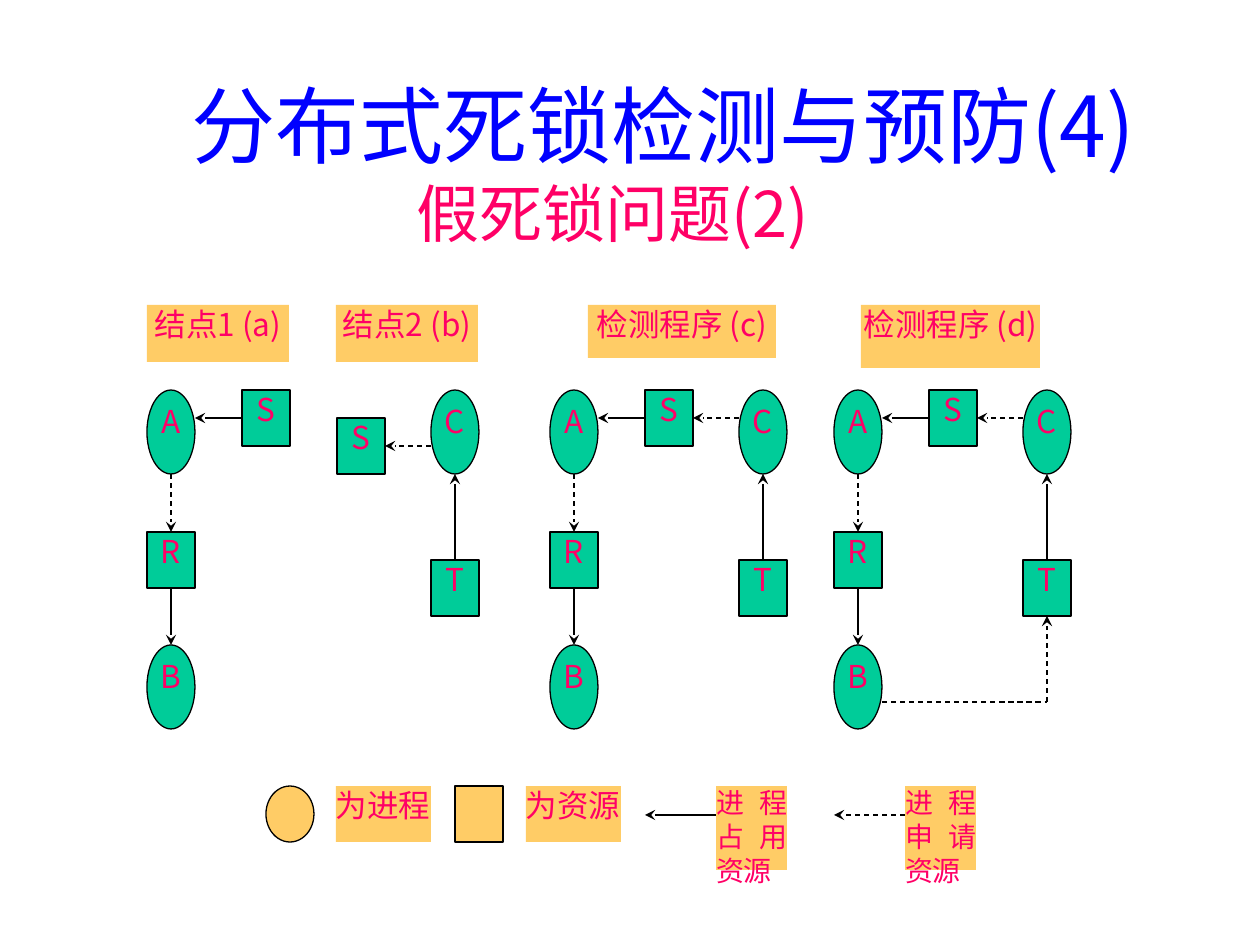
from dataclasses import dataclass
from lxml.etree import SubElement
from pptx import Presentation
from pptx.dml.color import RGBColor
from pptx.enum.dml import MSO_LINE
from pptx.enum.shapes import MSO_CONNECTOR, MSO_SHAPE
from pptx.enum.text import MSO_ANCHOR, PP_ALIGN
from pptx.oxml.ns import qn
from pptx.util import Emu, Pt


@dataclass(frozen=True)
class Theme:
    font: str = "Noto Sans CJK JP"
    ink: RGBColor = RGBColor(0, 0, 0)
    node: RGBColor = RGBColor(0, 204, 153)
    tag: RGBColor = RGBColor(255, 204, 102)
    text: RGBColor = RGBColor(255, 0, 102)
    title: RGBColor = RGBColor(0, 0, 255)
    head: int = 48
    sub: int = 36
    body: int = 18
    small: int = 16
    rule: float = 0.75


THEME = Theme()
SCALE = 914400 / 126
WIDE, TALL, HIGH = 48, 84, 56
OVAL, RECT = MSO_SHAPE.OVAL, MSO_SHAPE.RECTANGLE
SOLID, DASH = MSO_LINE.SOLID, MSO_LINE.DASH
TOP, LEFT, BOTTOM, RIGHT = range(4)

NODES = {
    "A": (OVAL, 0, 390, TALL),
    "S": (RECT, 95, 390, HIGH),
    "C": (OVAL, 189, 390, TALL),
    "R": (RECT, 0, 532, HIGH),
    "T": (RECT, 189, 560, HIGH),
    "B": (OVAL, 0, 645, TALL),
}
LINKS = {
    "AR": (24, 474, 24, 532, DASH, None, TOP),
    "RB": (24, 588, 24, 645, SOLID, BOTTOM, None),
    "SA": (95, 418, 48, 418, SOLID, LEFT, None),
    "CS": (189, 418, 143, 418, DASH, None, RIGHT),
    "TC": (213, 560, 213, 474, SOLID, TOP, None),
}
PANELS = [
    (147, "ASRB", "AR RB SA", 0),
    (242, "SCT", "CS TC", 28),
    (550, "ASRBCT", "AR RB SA CS TC", 0),
    (834, "ASRBCT", "AR RB SA CS TC", 0),
]
TAGS = [
    ("结点1 (a)", 147, 142, 57),
    ("结点2 (b)", 336, 142, 57),
    ("检测程序 (c)", 588, 188, 53),
    ("检测程序 (d)", 861, 179, 63),
]


def px(n):
    return Emu(round(n * SCALE))


def put(obj, vals):
    for key, val in vals.items():
        setattr(obj, key, val)


def write(para, text, size, color, align):
    para.alignment = align
    run = para.add_run()
    run.text = text
    put(run.font, {"size": Pt(size), "name": THEME.font})
    run.font.color.rgb = color
    SubElement(run.font._element, qn("a:ea"), typeface=THEME.font)


def add_box(slide, kind, x, y, w, h, fill, edge=True, text="",
            size=THEME.body, align=PP_ALIGN.CENTER):
    box = slide.shapes.add_shape(kind, px(x), px(y), px(w), px(h))
    box.shadow.inherit = False
    box.fill.solid()
    box.fill.fore_color.rgb = fill
    if edge:
        box.line.color.rgb = THEME.ink
        box.line.width = Pt(THEME.rule)
    else:
        box.line.fill.background()
    if text:
        frame = box.text_frame
        put(frame, {"margin_left": 0, "margin_right": 0, "margin_top": 0,
                    "margin_bottom": 0, "word_wrap": True,
                    "vertical_anchor": MSO_ANCHOR.TOP})
        write(frame.paragraphs[0], text, size, THEME.text, align)
    return box


def add_link(slide, x1, y1, x2, y2, dash, start=None, end=None, tip=True):
    link = slide.shapes.add_connector(
        MSO_CONNECTOR.STRAIGHT, px(x1), px(y1), px(x2), px(y2))
    link.line.color.rgb = THEME.ink
    put(link.line, {"width": Pt(THEME.rule), "dash_style": dash})
    props = link._element.spPr
    if tip:
        SubElement(props.find(qn("a:ln")), qn("a:tailEnd"), type="stealth")
    SubElement(props, qn("a:effectLst"))
    if start:
        link.begin_connect(*start)
    if end:
        link.end_connect(*end)


def add_panel(slide, left, names, links, drop):
    made = {}
    for name in names:
        kind, dx, y, h = NODES[name]
        low = drop if name == "S" else 0
        made[name] = add_box(slide, kind, left + dx, y + low, WIDE, h,
                             THEME.node, text=name)
    for pair in links.split():
        x1, y1, x2, y2, dash, out, into = LINKS[pair]
        low = drop if "S" in pair else 0
        add_link(slide, left + x1, y1 + low, left + x2, y2 + low, dash,
                 None if out is None else (made[pair[0]], out),
                 None if into is None else (made[pair[1]], into))
    return made


def add_title(slide):
    box = slide.shapes.add_textbox(px(179), px(67), px(1040), px(207))
    frame = box.text_frame
    frame.word_wrap = True
    write(frame.paragraphs[0], "分布式死锁检测与预防(4)", THEME.head,
          THEME.title, PP_ALIGN.LEFT)
    para = frame.add_paragraph()
    write(para, "假死锁问题(2)", THEME.sub, THEME.text, PP_ALIGN.LEFT)
    para._p.get_or_add_pPr().set("marL", str(px(225)))


def add_key(slide):
    add_box(slide, OVAL, 266, 786, WIDE, HIGH, THEME.tag)
    add_box(slide, RECT, 455, 786, WIDE, HIGH, THEME.tag)
    for text, x in (("为进程", 336), ("为资源", 526)):
        add_box(slide, RECT, x, 786, 95, HIGH, THEME.tag, False, text,
                align=PP_ALIGN.JUSTIFY)
    for text, x, dash in (("进程占用资源", 716, SOLID),
                          ("进程申请资源", 905, DASH)):
        add_box(slide, RECT, x, 786, 71, TALL, THEME.tag, False, text,
                THEME.small, PP_ALIGN.JUSTIFY)
        add_link(slide, x, 815, x - 71, 815, dash)


def main():
    deck = Presentation()
    put(deck, {"slide_width": px(1260), "slide_height": px(945)})
    slide = deck.slides.add_slide(deck.slide_layouts[6])
    for panel in PANELS:
        made = add_panel(slide, *panel)
    add_link(slide, 882, 702, 1047, 702, DASH, tip=False)
    add_link(slide, 1047, 702, 1047, 616, DASH, end=(made["T"], BOTTOM))
    for text, x, w, h in TAGS:
        add_box(slide, RECT, x, 305, w, h, THEME.tag, False, text)
    add_key(slide)
    add_title(slide)
    deck.save("out.pptx")


if __name__ == "__main__":
    main()
